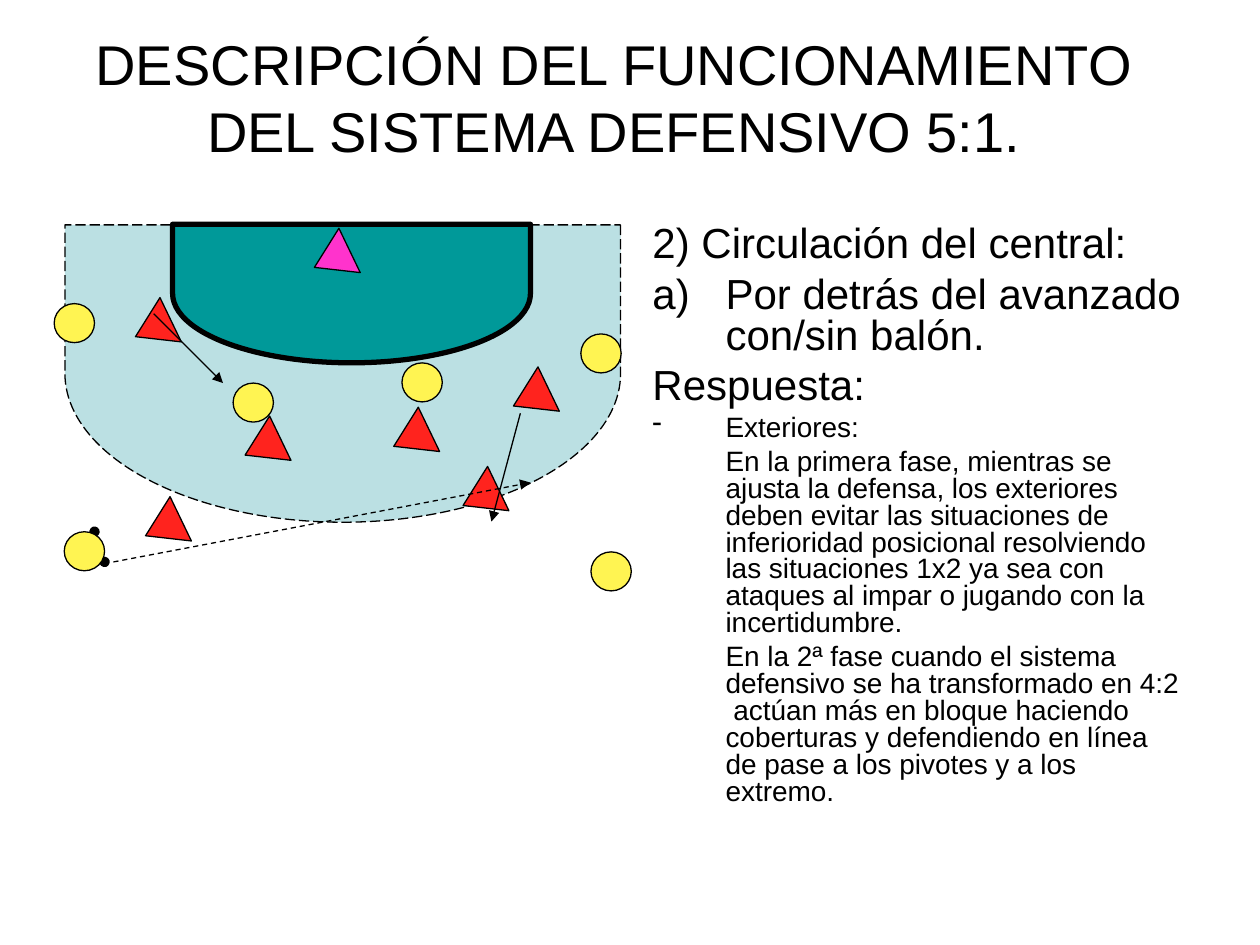
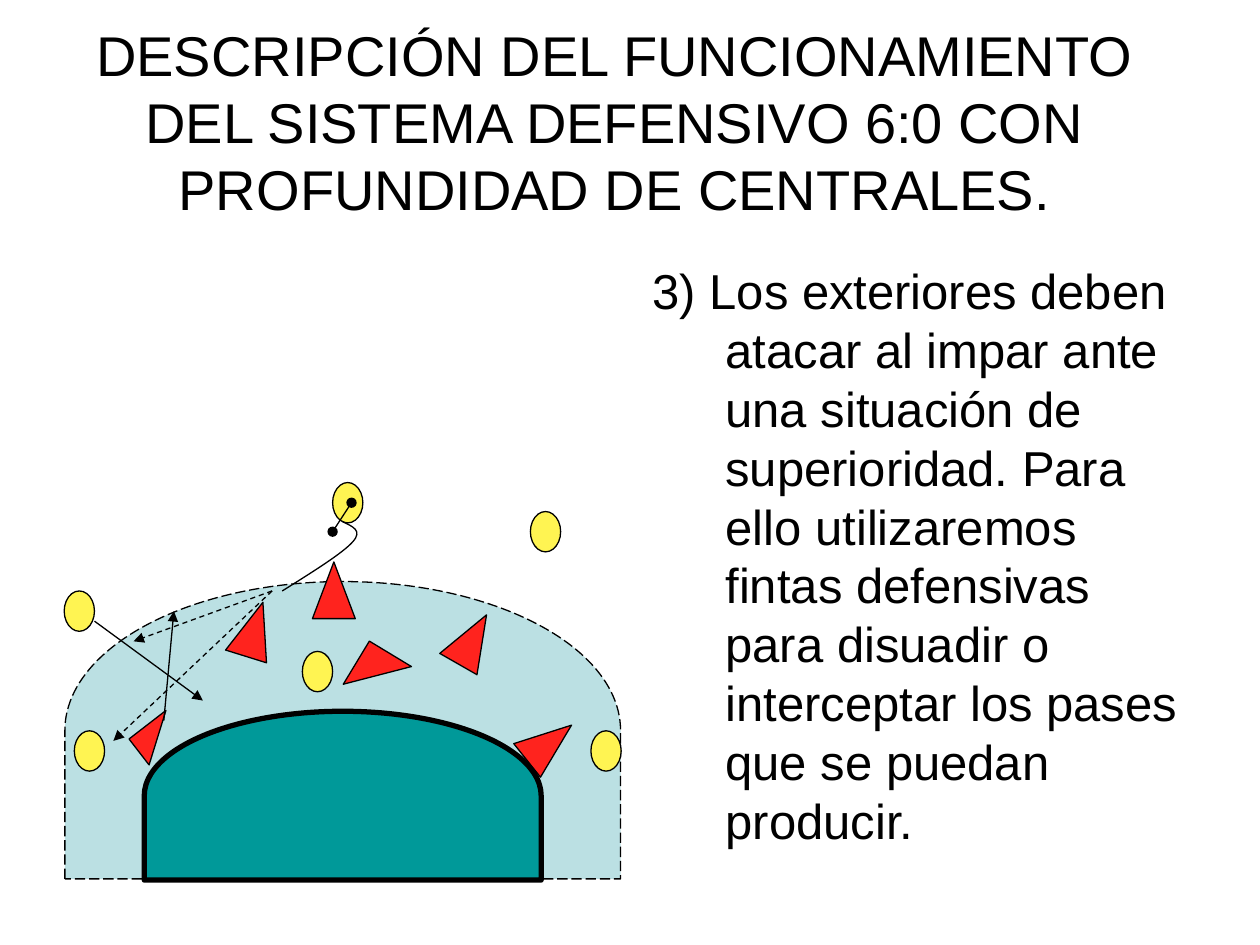
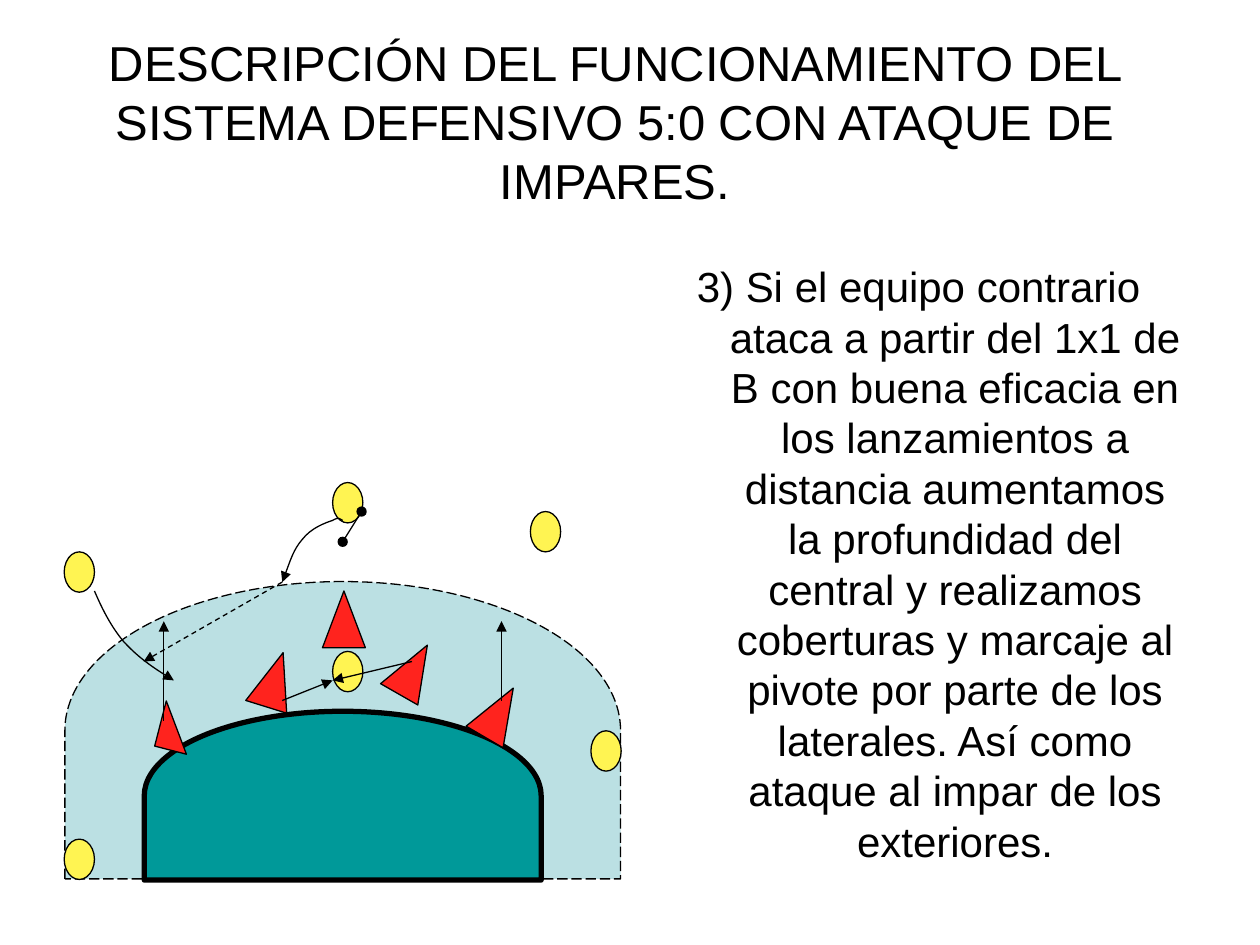
from dataclasses import dataclass
from lxml.etree import SubElement
from pptx import Presentation
from pptx.dml.color import RGBColor
from pptx.enum.dml import MSO_LINE
from pptx.enum.shapes import MSO_CONNECTOR, MSO_SHAPE
from pptx.enum.text import MSO_ANCHOR, MSO_AUTO_SIZE, PP_ALIGN
from pptx.oxml.ns import qn
from pptx.util import Pt

SCALE = 9144


@dataclass(frozen=True)
class Theme:
    face: str = "Arial"
    ink: str = "000000"
    court: str = "BBE0E3"
    goal: str = "009999"
    team: str = "FF231E"
    keeper: str = "FF33CC"
    rival: str = "FFF452"
    head: int = 32
    large: int = 28
    mid: int = 24
    small: int = 16
    thin: float = 0.75
    thick: int = 3
    hang: int = 58


LOOK = Theme()
FRAME = {"word_wrap": True, "auto_size": MSO_AUTO_SIZE.NONE}
INSET = {"margin_left": 10, "margin_right": 10, "margin_top": 5, "margin_bottom": 5}
BODY = (508, 202, 442, 496)
TITLE = (51, 30, 874, 132)
COURT = (154, 359, 236, 441)
GOAL = (205, 474, 134, 315)


def px(n):
    return n * SCALE


def put(item, **values):
    for name, value in values.items():
        setattr(item, name, value)


def place(item, box):
    put(item, **dict(zip(("left", "top", "width", "height"), map(px, box))))


def write(para, text, size, align):
    para.alignment = align
    run = para.add_run()
    run.text = text
    put(run.font, name=LOOK.face, size=Pt(size), bold=False)
    run.font.color.rgb = RGBColor.from_string(LOOK.ink)


def fit(frame, **values):
    put(frame, **FRAME, **{k: px(v) for k, v in INSET.items()}, **values)


def start(deck, text, size=LOOK.head, box=TITLE):
    slide = deck.slides.add_slide(deck.slide_layouts[5])
    title = slide.shapes.title
    place(title, box)
    fit(title.text_frame, vertical_anchor=MSO_ANCHOR.MIDDLE)
    write(title.text_frame.paragraphs[0], text, size, PP_ALIGN.CENTER)
    return slide.shapes


def body(shapes, rows, size, box=BODY, align=PP_ALIGN.LEFT, pitch=1.0):
    frame = shapes.add_textbox(*map(px, box)).text_frame
    fit(frame, vertical_anchor=MSO_ANCHOR.TOP)
    for i, (text, *more) in enumerate(rows):
        row = {"size": size, "gap": 6, "hang": LOOK.hang, "mark": None}
        row.update(*more)
        para = frame.add_paragraph() if i else frame.paragraphs[0]
        write(para, text, row["size"], align)
        put(para, line_spacing=pitch, space_before=Pt(row["gap"]))
        props = para._p.get_or_add_pPr()
        props.set("marL", str(px(LOOK.hang)))
        props.set("indent", str(-px(row["hang"])))
        if row["mark"]:
            tag, key, value = row["mark"]
            SubElement(props, qn(tag)).set(key, value)


def stroke(item, width=LOOK.thin, dash=None, head=None, tail=None):
    line = item.line
    line.color.rgb = RGBColor.from_string(LOOK.ink)
    put(line, width=Pt(width), dash_style=dash)
    for tag, kind in (("a:headEnd", head), ("a:tailEnd", tail)):
        if kind:
            SubElement(line._get_or_add_ln(), qn(tag)).set("type", kind)


def shape(shapes, kind, box, fill, turn=0, **line):
    item = shapes.add_shape(kind, *map(px, box))
    item.rotation = turn
    item.shadow.inherit = False
    item.fill.solid()
    item.fill.fore_color.rgb = RGBColor.from_string(fill)
    stroke(item, **line)
    return item


def field(shapes, court=COURT, goal=GOAL, turn=270):
    shape(shapes, MSO_SHAPE.FLOWCHART_DELAY, court, LOOK.court, turn, dash=MSO_LINE.LONG_DASH)
    shape(shapes, MSO_SHAPE.FLOWCHART_DELAY, goal, LOOK.goal, turn, width=LOOK.thick)


def guard(shapes, x, y, turn=0, size=(34, 45), peak=0.5, fill=LOOK.team):
    item = shape(shapes, MSO_SHAPE.ISOSCELES_TRIANGLE, (x, y, *size), fill, turn)
    item.adjustments[0] = peak


def rivals(shapes, spots, size=(24, 32)):
    for spot in spots:
        shape(shapes, MSO_SHAPE.OVAL, (*spot, *size), LOOK.rival)


def link(shapes, ends, **line):
    item = shapes.add_connector(MSO_CONNECTOR.STRAIGHT, *map(px, ends))
    stroke(item, **line)
    SubElement(item._element.spPr, qn("a:effectLst"))


def ball(shapes, *ends):
    link(shapes, ends, head="oval", tail="oval")


def moves(shapes, routes, dash=None):
    for ends in routes:
        link(shapes, ends, dash=dash, tail="triangle")


def curve(shapes, first, points, tail=None):
    pen = shapes.build_freeform(*first, scale=SCALE)
    pen.add_line_segments(points, close=False)
    item = pen.convert_to_shape()
    item.shadow.inherit = False
    item.fill.background()
    stroke(item, tail=tail)
    steps = list(item._element.iter(qn("a:lnTo")))
    for i in range(0, len(steps), 3):
        bend = SubElement(steps[i].getparent(), qn("a:cubicBezTo"))
        for step in steps[i:i + 3]:
            bend.append(step[0])
            step.getparent().remove(step)


def five_one(deck):
    shapes = start(deck, "DESCRIPCIÓN DEL FUNCIONAMIENTO DEL SISTEMA DEFENSIVO 5:1.", box=(50, 30, 875, 93))
    note = {"size": LOOK.small, "gap": 4}
    body(shapes, [
        ("2) Circulación del central:",),
        ("Por detrás del avanzado con/sin balón.", {"mark": ("a:buAutoNum", "type", "alphaLcParenR")}),
        ("Respuesta:",),
        ("Exteriores:", {**note, "mark": ("a:buChar", "char", "-")}),
        ("En la primera fase, mientras se ajusta la defensa, los exteriores deben evitar las "
         "situaciones de inferioridad posicional resolviendo las situaciones 1x2 ya sea con "
         "ataques al impar o jugando con la incertidumbre.", {**note, "hang": 0}),
        ("En la 2ª fase cuando el sistema defensivo se ha transformado en 4:2  actúan más en "
         "bloque haciendo coberturas y defendiendo en línea de pase a los pivotes y a los "
         "extremo.", {**note, "hang": 0}),
    ], LOOK.mid, box=(508, 175, 442, 495), pitch=0.8)
    field(shapes, (154, 76, 236, 441), (224, 91, 110, 284), 90)
    ball(shapes, 75, 422, 83, 446)
    rivals(shapes, [(43, 241), (51, 422), (319, 288), (461, 265), (469, 438), (185, 304)], (32, 31))
    pose = {"turn": 244.3, "size": (39, 31)}
    guard(shapes, 244, 190, fill=LOOK.keeper, **pose)
    for spot in [(102, 245), (189, 339), (362, 379), (110, 403), (307, 332), (402, 300)]:
        guard(shapes, *spot, **pose)
    moves(shapes, [(90, 446, 421, 383)], MSO_LINE.DASH)
    moves(shapes, [(413, 328, 390, 414), (122, 249, 177, 304)])


def six_zero(deck):
    shapes = start(deck, "DESCRIPCIÓN DEL FUNCIONAMIENTO DEL SISTEMA DEFENSIVO 6:0 CON "
                         "PROFUNDIDAD DE CENTRALES.")
    body(shapes, [
        ("3) Los exteriores deben atacar al impar ante una situación de superioridad. Para ello "
         "utilizaremos fintas defensivas para disuadir o interceptar los pases que se puedan "
         "producir.", {"gap": 7}),
    ], LOOK.large)
    field(shapes)
    for spot in [(358, 485, 29.8), (419, 567, 51.5), (248, 446), (185, 477, 17.3)]:
        guard(shapes, *spot)
    guard(shapes, 280, 516, 211.2, (39, 40), 1)
    guard(shapes, 112, 567, 52.3, (26, 37), 0)
    rivals(shapes, [(264, 383), (469, 580), (421, 406), (240, 517), (59, 580), (51, 469)])
    ball(shapes, 264, 422, 279, 399)
    curve(shapes, (272, 414), [(280, 418), (288, 421), (280, 430), (272, 439), (248, 454), (224, 469)])
    moves(shapes, [(75, 493, 161, 556), (130, 572, 138, 485)])
    moves(shapes, [(216, 469, 106, 509), (216, 469, 90, 588)], MSO_LINE.DASH)


def five_zero(deck):
    shapes = start(deck, "DESCRIPCIÓN DEL FUNCIONAMIENTO DEL SISTEMA DEFENSIVO 5:0 CON ATAQUE DE "
                         "IMPARES.", LOOK.large)
    body(shapes, [
        ("3) Si el equipo contrario ataca a partir del 1x1 de B con buena eficacia en los "
         "lanzamientos a distancia aumentamos la profundidad del central y realizamos coberturas "
         "y marcaje al pivote por parte de los laterales. Así como ataque al impar de los "
         "exteriores.",),
    ], LOOK.mid, align=PP_ALIGN.CENTER)
    field(shapes)
    for spot in [(311, 509, 29.8), (379, 543, 30.4), (256, 469), (201, 517, 17.3)]:
        guard(shapes, *spot)
    guard(shapes, 127, 559, 14.4, (26, 37), 0)
    rivals(shapes, [(264, 383), (469, 580), (421, 406), (264, 517), (51, 666), (51, 438)])
    ball(shapes, 272, 430, 287, 406)
    curve(shapes, (272, 413), [(270, 412), (269, 410), (264, 413), (258, 415), (247, 419), (240, 428),
                               (233, 436), (229, 449), (224, 462)], "triangle")
    curve(shapes, (75, 469), [(81, 483), (88, 497), (98, 509), (109, 521), (123, 531), (138, 540)],
          "triangle")
    moves(shapes, [(224, 462, 114, 525)], MSO_LINE.DASH)
    moves(shapes, [(130, 572, 130, 493), (224, 556, 264, 540), (327, 525, 264, 540),
                   (398, 556, 398, 493)])


def main():
    deck = Presentation()
    put(deck, slide_width=px(1000), slide_height=px(750))
    for build in (five_one, six_zero, five_zero):
        build(deck)
    deck.save("out.pptx")


if __name__ == "__main__":
    main()
